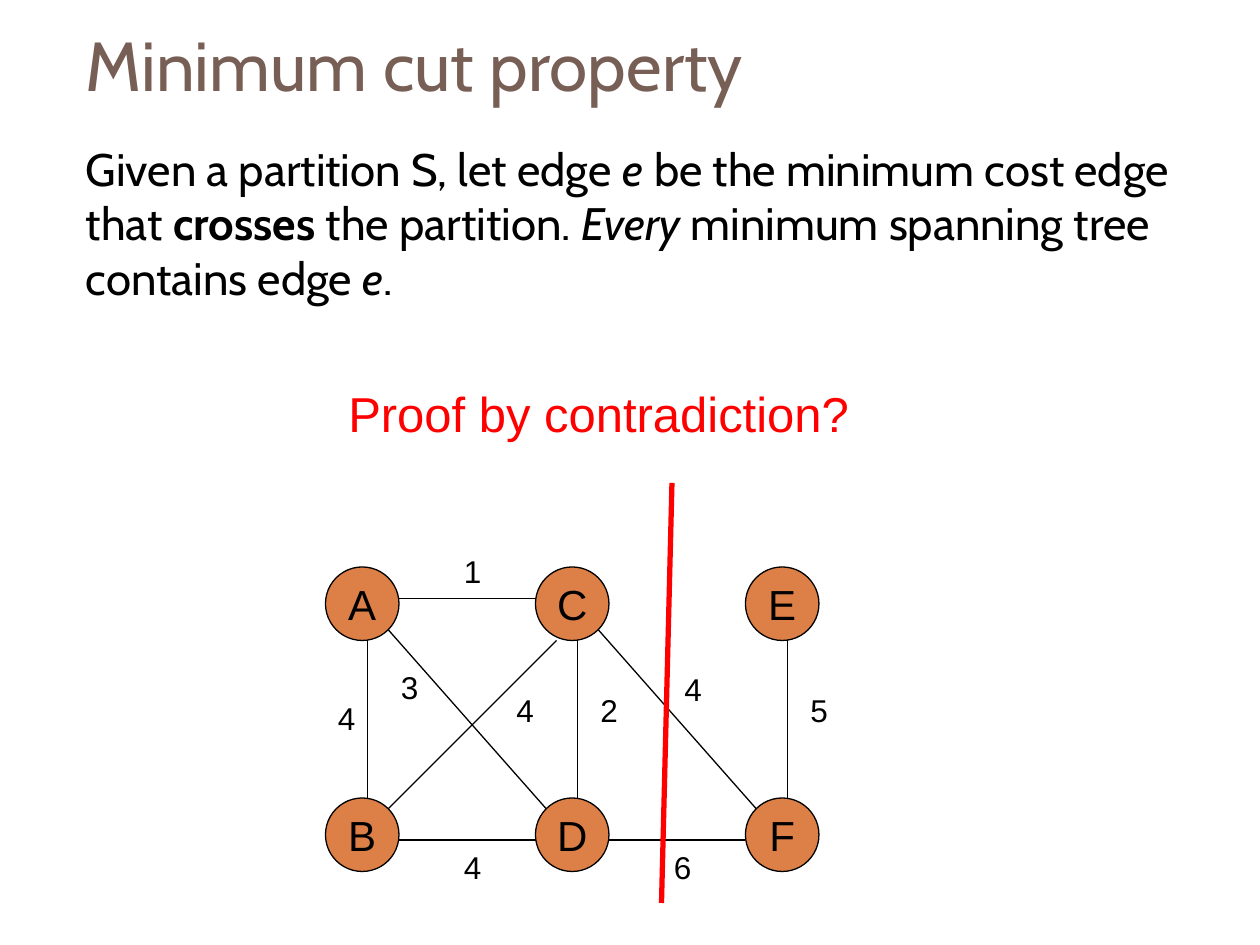
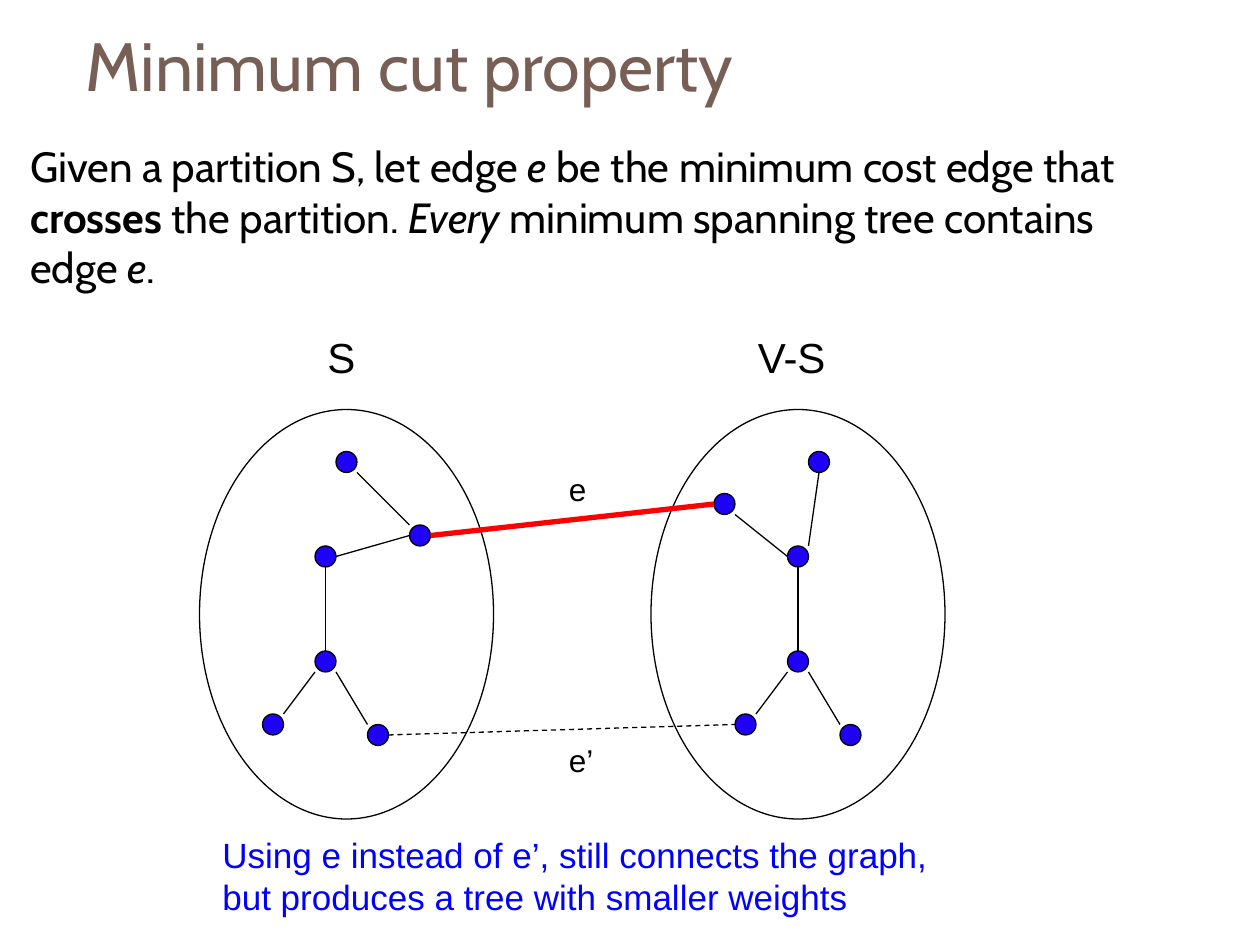
"""Builds two slides on the minimum cut property of spanning trees."""
from lxml import etree
from pptx import Presentation
from pptx import util as u
from pptx.dml.color import RGBColor
from pptx.enum import dml, shapes, text
from pptx.oxml import ns

EMU_PER_PX = 7620
COLORS = {
    "title": "775F55",
    "ink": "000000",
    "cut": "FF0000",
    "vertex": "DD8047",
    "dot": "1F02F6",
    "note": "0000FF",
}
THEOREM = [
    ("Given a partition S, let edge ", ""),
    ("e", "italic"),
    (" be the minimum cost edge that ", ""),
    ("crosses", "bold"),
    (" the partition. ", ""),
    ("Every", "italic"),
    (" minimum spanning tree contains edge ", ""),
    ("e", "italic"),
    (".", ""),
]

VERTEX_SIZE = 70
VERTEX_COLUMNS = ["AB", "CD", "EF"]
GRAPH_LEFT, GRAPH_TOP, COLUMN_STEP, ROW_STEP = 310, 540, 200, 220
GRAPH_EDGES = [
    (380, 800, 510, 800),
    (550, 760, 550, 610),
    (350, 760, 350, 610),
    (380, 570, 510, 570),
    (370, 600, 520, 770),
    (580, 800, 710, 800),
    (750, 760, 750, 610),
    (570, 600, 720, 770),
    (370, 770, 530, 610),
]
EDGE_WEIGHTS = [
    ("4", 310, 660), ("1", 430, 520), ("2", 560, 652),
    ("3", 370, 630), ("4", 430, 802), ("5", 760, 652),
    ("4", 640, 632), ("6", 630, 802), ("4", 480, 652),
]

DOT_SIZE = 20
TREE_STEP = 450
TREE_DOTS = [(320, 430), (300, 520), (300, 620), (250, 680), (350, 690)]
TREE_EDGES = [
    (270, 680, 300, 640),
    (350, 690, 320, 640),
    (310, 620, 310, 540),
]
LEFT_DOT = (390, 500)
LEFT_EDGES = [(320, 530, 390, 510), (390, 500, 340, 450)]
RIGHT_DOT = (680, 470)
RIGHT_EDGES = [(770, 520, 780, 450), (750, 530, 700, 490)]


def px(*lengths):
    """Turn px lengths into EMU."""
    return [u.Emu(length * EMU_PER_PX) for length in lengths]


def rgb(name):
    """Look up a named colour."""
    return RGBColor.from_string(COLORS[name])


def style_font(paragraph, size, color="ink", family="Arial"):
    """Set the font that all runs of a paragraph share."""
    paragraph.font.size = u.Pt(size)
    paragraph.font.name = family
    paragraph.font.color.rgb = rgb(color)


def add_text(slide, box, words, size, color="ink", family="Arial"):
    """Add a wrapping text box and return its frame."""
    frame = slide.shapes.add_textbox(*px(*box)).text_frame
    frame.word_wrap = True
    frame.text = words
    style_font(frame.paragraphs[0], size, color, family)
    return frame


def add_title(slide, size):
    """Add the title both slides carry."""
    frame = add_text(slide, (70, 14, 990, 94), "Minimum cut property", size, "title", "Cabin")
    frame.vertical_anchor = text.MSO_ANCHOR.MIDDLE


def add_theorem(slide, box, size):
    """Add the theorem with its emphasised words."""
    paragraph = add_text(slide, box, "", size, family="Cabin").paragraphs[0]
    paragraph.space_before = u.Pt(7)
    for words, emphasis in THEOREM:
        run = paragraph.add_run()
        run.text = words
        if emphasis:
            setattr(run.font, emphasis, True)


def add_ellipse(slide, box, fill=None):
    """Add a thinly outlined ellipse, hollow unless a fill is named."""
    shape = slide.shapes.add_shape(shapes.MSO_SHAPE.OVAL, *px(*box))
    shape.shadow.inherit = False
    if fill:
        shape.fill.solid()
        shape.fill.fore_color.rgb = rgb(fill)
    else:
        shape.fill.background()
    shape.line.color.rgb = rgb("ink")
    shape.line.width = u.Pt(0.75)
    return shape


def add_vertex(slide, letter, left, top):
    """Add a round graph vertex with its letter."""
    shape = add_ellipse(slide, (left, top, VERTEX_SIZE, VERTEX_SIZE), "vertex")
    frame = shape.text_frame
    frame.margin_left = frame.margin_right = frame.margin_top = frame.margin_bottom = 0
    frame.vertical_anchor = text.MSO_ANCHOR.MIDDLE
    frame.text = letter
    frame.paragraphs[0].alignment = text.PP_ALIGN.CENTER
    style_font(frame.paragraphs[0], 24)


def add_line(slide, ends, color="ink", width=0.75, dashed=False):
    """Add a straight line without a shadow."""
    line = slide.shapes.add_connector(shapes.MSO_CONNECTOR.STRAIGHT, *px(*ends))
    line.line.color.rgb = rgb(color)
    line.line.width = u.Pt(width)
    if dashed:
        line.line.dash_style = dml.MSO_LINE.DASH
    etree.SubElement(line._element.spPr, ns.qn("a:effectLst"))


def add_tree(slide, shift, extra_dot, extra_edges):
    """Add the shared tree, shifted right, with its own extra dot and edges."""
    dots = [(left + shift, top) for left, top in TREE_DOTS] + [extra_dot]
    for left, top in dots:
        add_ellipse(slide, (left, top, DOT_SIZE, DOT_SIZE), "dot")
    edges = [(x1 + shift, y1, x2 + shift, y2) for x1, y1, x2, y2 in TREE_EDGES]
    for ends in edges + extra_edges:
        add_line(slide, ends)


def build_question_slide(slide):
    """Show the theorem on a weighted graph with one cut."""
    add_title(slide, 39.6)
    add_theorem(slide, (70, 128, 1105, 174), 26)
    add_text(slide, (320, 359, 559, 68), "Proof by contradiction?", 28, "cut")
    for column, letters in enumerate(VERTEX_COLUMNS):
        for row, letter in enumerate(letters):
            add_vertex(slide, letter, GRAPH_LEFT + column * COLUMN_STEP, GRAPH_TOP + row * ROW_STEP)
    for ends in GRAPH_EDGES:
        add_line(slide, ends)
    for weight, left, top in EDGE_WEIGHTS:
        add_text(slide, (left, top, 70, 48), weight, 18)
    add_line(slide, (630, 860, 640, 460), "cut", 3)


def build_proof_slide(slide):
    """Show the two sides of the partition and the edges between them."""
    add_tree(slide, 0, LEFT_DOT, LEFT_EDGES)
    add_tree(slide, TREE_STEP, RIGHT_DOT, RIGHT_EDGES)
    for name, label_left, side_left in [("S", 300, 190), ("V-S", 710, 620)]:
        add_ellipse(slide, (side_left, 390, 280, 390))
        add_text(slide, (label_left, 310, 120, 60), name, 24)
    add_line(slide, (370, 700, 700, 690), dashed=True)
    add_text(slide, (530, 700, 60, 48), "e’", 18)
    add_line(slide, (410, 510, 680, 480), "cut", 3)
    add_text(slide, (530, 442, 60, 48), "e", 18)
    add_text(
        slide,
        (200, 788, 730, 92),
        "Using e instead of e’, still connects the graph, but produces a tree with smaller weights",
        20,
        "note",
    )
    add_title(slide, 39)
    add_theorem(slide, (17, 128, 1126, 133), 24.1)


def main():
    """Build and save the presentation."""
    presentation = Presentation()
    presentation.slide_width, presentation.slide_height = px(1200, 900)
    blank = presentation.slide_layouts[6]
    for build in (build_question_slide, build_proof_slide):
        build(presentation.slides.add_slide(blank))
    presentation.save("out.pptx")


if __name__ == "__main__":
    main()
